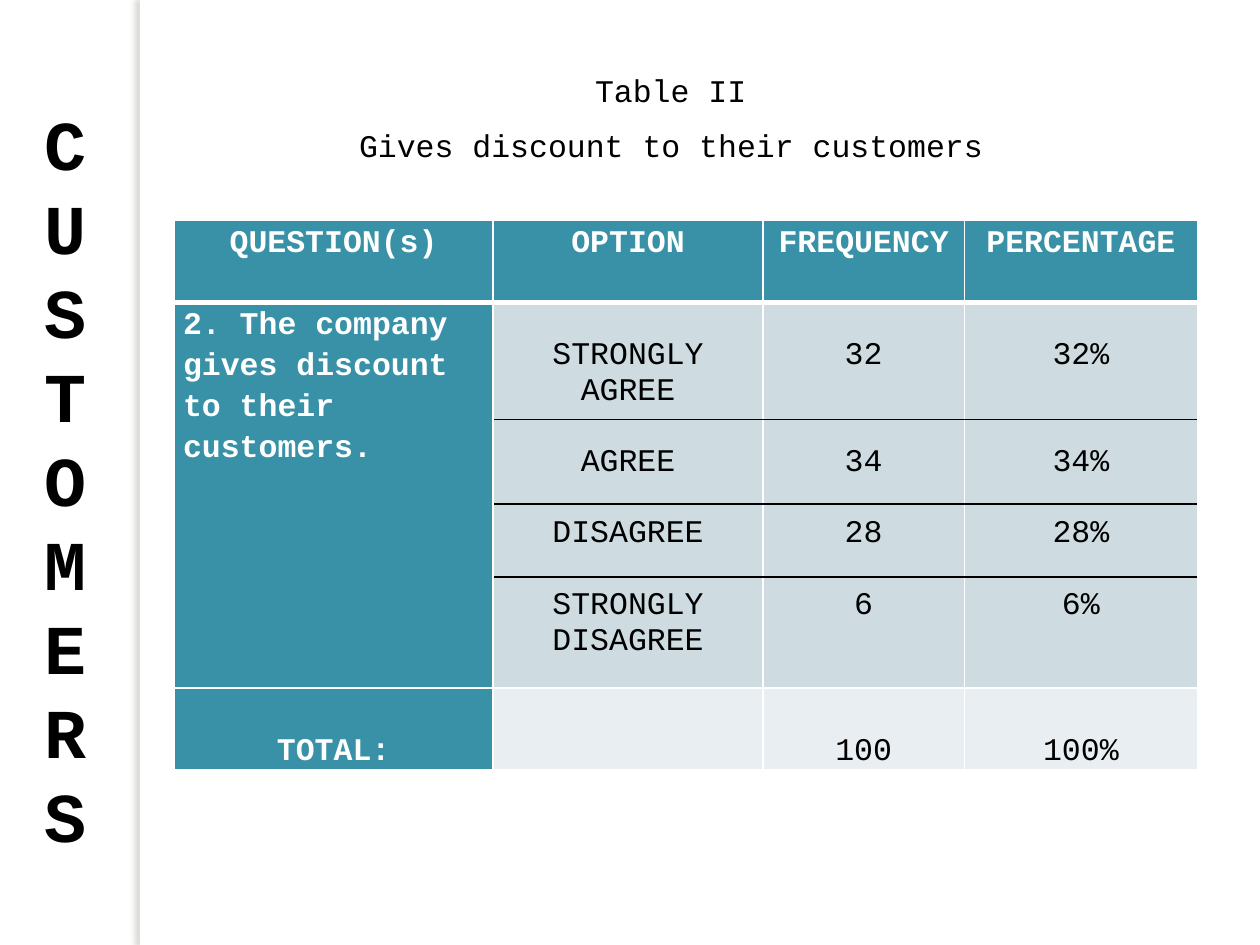
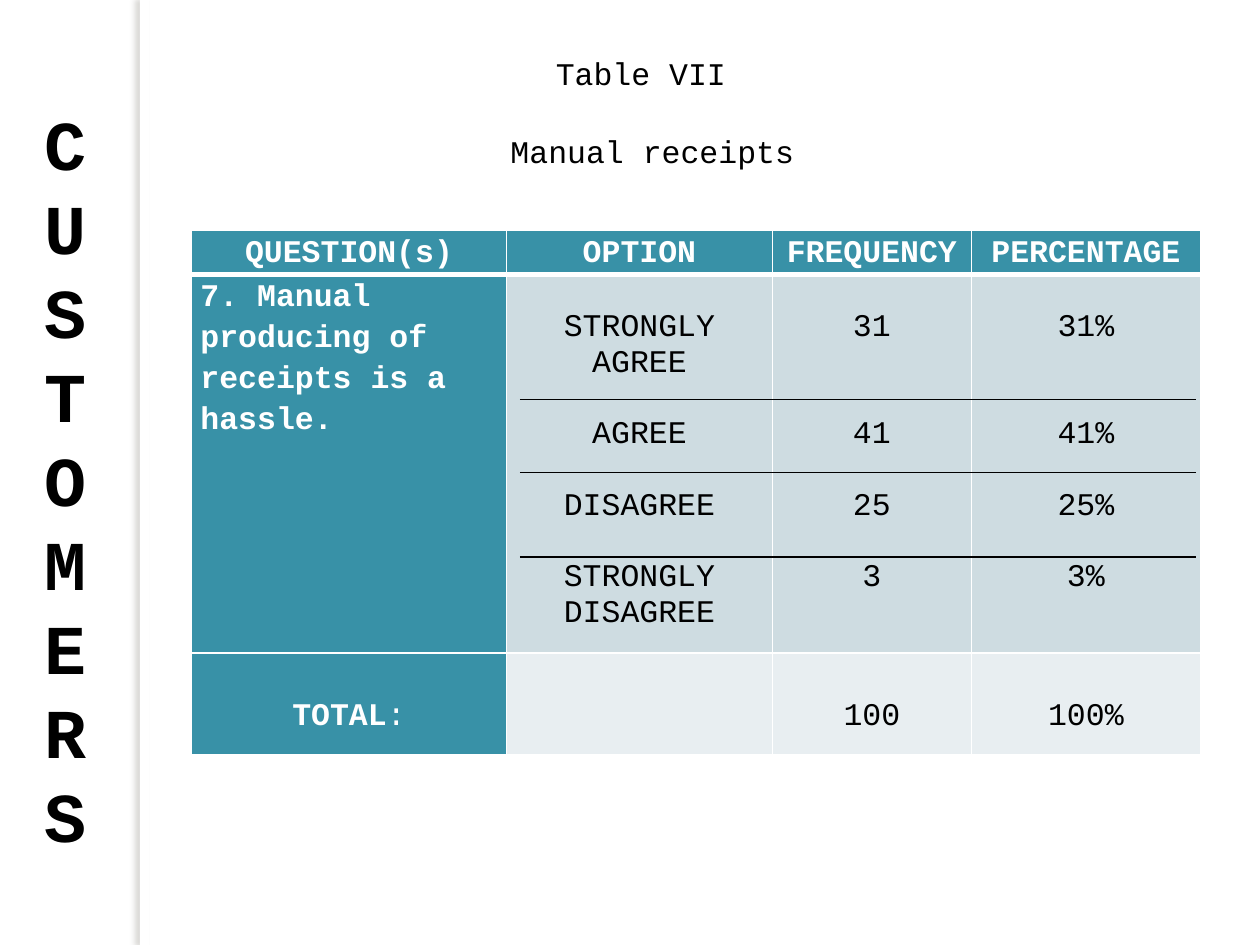
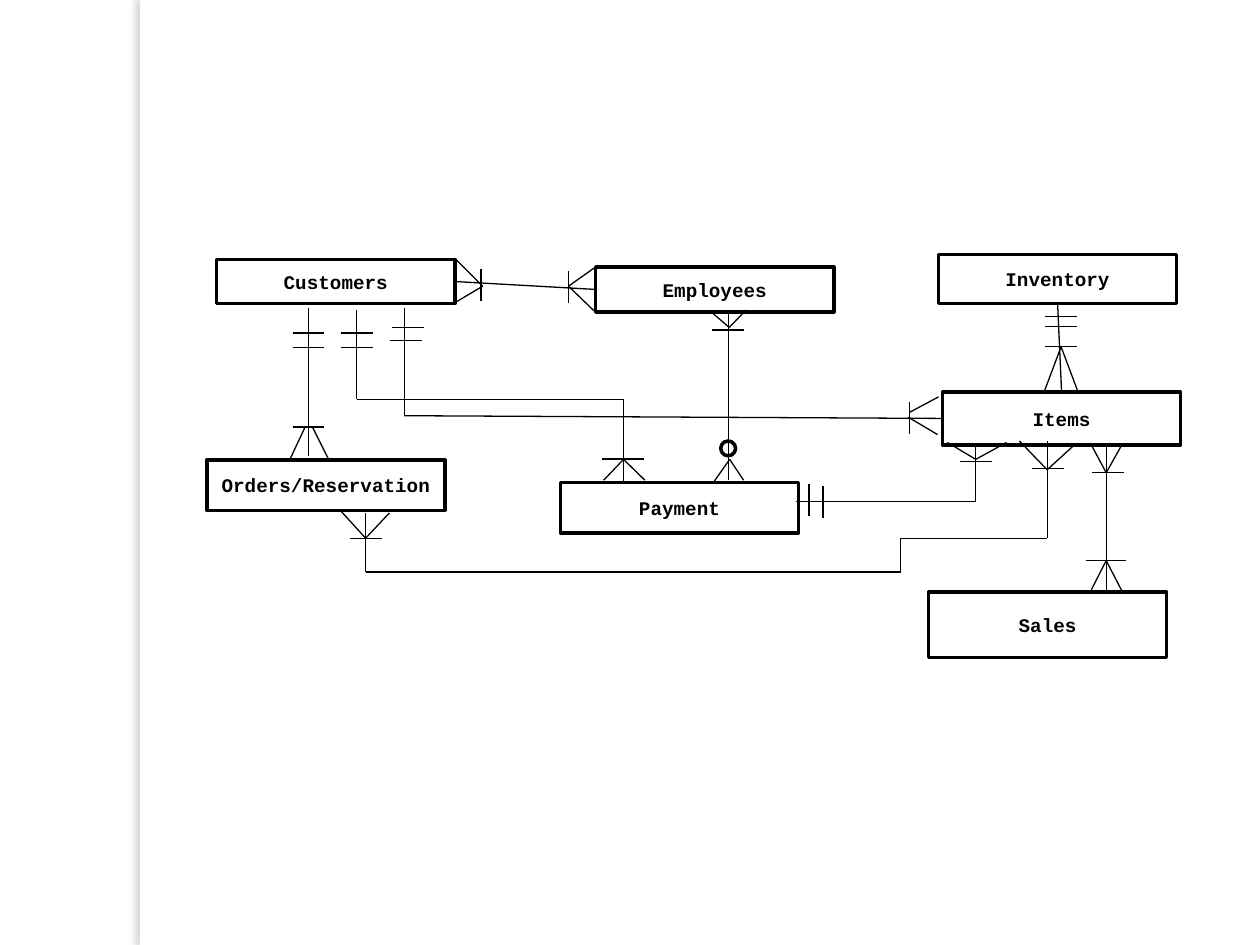
from dataclasses import dataclass
from typing import NamedTuple, Optional

from lxml import etree
from pptx import Presentation, util as u
from pptx.dml.color import RGBColor
from pptx.enum import shapes, text
from pptx.oxml.ns import qn

Cm, Pt = u.Cm, u.Pt
Point = tuple[float, float]
CENTER, LEFT = text.PP_ALIGN.CENTER, text.PP_ALIGN.LEFT
TOP_SIDE, LEFT_SIDE, BOTTOM_SIDE, RIGHT_SIDE = range(4)


@dataclass(frozen=True)
class Theme:
    ink: str = "000000"
    paper: str = "FFFFFF"
    teal: str = "3891A7"
    mist: str = "CEDCE1"
    pale: str = "E8EEF1"
    shade: str = "736F63"
    font: str = "Courier New"
    body: float = 18
    side: float = 40
    label: float = 11
    line: float = 20.4
    loose: float = 1.15
    thin: float = 0.75
    thick: float = 2


THEME = Theme()


class Title(NamedTuple):
    text: str
    left: float
    top: float
    width: float


class Survey(NamedTuple):
    titles: list[Title]
    left: float
    top: float
    cols: list[float]
    rows: list[float]
    question: str
    counts: list[int]
    rules: list[float]
    start: float
    end: float
    light_colon: bool = False


class Box(NamedTuple):
    name: str
    left: float
    top: float
    height: float


class Joint(NamedTuple):
    box: str
    side: int


class Route(NamedTuple):
    points: list[Point]
    begin: Optional[Joint] = None
    end: Optional[Joint] = None


class Tick(NamedTuple):
    x: float
    y: float
    upright: bool = False
    size: float = 0.64


HEADS = ["QUESTION(s)", "OPTION", "FREQUENCY", "PERCENTAGE"]
OPTIONS = ["STRONGLY AGREE", "AGREE", "DISAGREE", "STRONGLY DISAGREE"]

DISCOUNT = Survey(
    [Title("Table II", 10.8, 1.3, 5.44),
     Title("Gives discount to their customers", 6.96, 2.41, 13.13)],
    3.51, 4.45, [6.43, 5.44, 4.06, 4.7], [1.65, 7.77, 1.65],
    "2. The company gives discount to their customers.", [32, 34, 28, 6],
    [8.46, 10.16, 11.63], 9.96, 24.13)

RECEIPTS = Survey(
    [Title("Table VII", 3.18, 0.97, 19.48),
     Title("Manual receipts", 9.9, 2.54, 6.5)],
    3.86, 4.65, [6.35, 5.36, 4.01, 4.62], [0.89, 7.62, 2.06],
    "7. Manual producing of receipts is a hassle.", [31, 41, 25, 3],
    [8.05, 9.53, 11.23], 10.48, 24.1, light_colon=True)

BOX_WIDTH = 4.8
BOXES = [
    Box("Customers", 4.37, 5.23, 0.89),
    Box("Employees", 12.01, 5.38, 0.91),
    Box("Inventory", 18.92, 5.13, 0.99),
    Box("Orders/Reservation", 4.17, 9.27, 1.02),
    Box("Payment", 11.3, 9.73, 1.02),
    Box("Items", 19, 7.9, 1.07),
    Box("Sales", 18.72, 11.94, 1.32),
]

LINKS = [
    Route([(9.17, 5.77), (12.01, 5.77)],
          Joint("Customers", RIGHT_SIDE), Joint("Employees", LEFT_SIDE)),
    Route([(21.39, 6.12), (21.39, 7.9)],
          Joint("Inventory", BOTTOM_SIDE), Joint("Items", TOP_SIDE)),
    Route([(8.15, 6.2), (8.15, 8.38), (19, 8.38)],
          end=Joint("Items", LEFT_SIDE)),
    Route([(7.19, 6.25), (7.19, 8.05), (12.57, 8.05), (12.57, 9.75)]),
    Route([(6.22, 6.2), (6.22, 9.19)]),
    Route([(14.68, 6.25), (14.68, 9.68)]),
    Route([(7.37, 10.34), (7.37, 11.53), (18.16, 11.53), (18.16, 10.85),
           (21.11, 10.85), (21.11, 8.89)]),
    Route([(22.3, 8.94), (22.3, 11.91)]),
    Route([(19.66, 8.99), (19.66, 10.11), (16.05, 10.11)]),
]

FEET = [
    Route([(9.19, 5.23), (9.73, 5.77), (9.14, 6.12)]),
    Route([(12.01, 6.3), (11.46, 5.77), (12.01, 5.38)]),
    Route([(6.15, 8.61), (5.84, 9.27)]),
    Route([(6.3, 8.61), (6.63, 9.27)]),
    Route([(18.34, 8.31), (18.92, 8)]),
    Route([(18.31, 8.41), (18.9, 8.76)]),
    Route([(12.17, 9.68), (12.57, 9.26), (13, 9.68)]),
    Route([(14.4, 9.7), (14.71, 9.26), (14.99, 9.68)]),
    Route([(14.35, 6.3), (14.7, 6.6), (15.04, 6.25)]),
    Route([(7.85, 10.34), (7.37, 10.85), (6.88, 10.31)]),
    Route([(20.55, 8.89), (21.11, 9.47), (21.69, 8.94)]),
    Route([(22.63, 11.94), (22.3, 11.3), (22, 11.89)]),
    Route([(22.63, 8.94), (22.3, 9.53), (22, 8.97)]),
    Route([(20.29, 8.92), (19.67, 9.26), (19.1, 8.92)]),
    Route([(21.06, 7.87), (21.39, 6.99), (21.72, 7.87)]),
]

TICKS = [
    Tick(9.7, 5.75, True), Tick(11.46, 5.78, True),
    Tick(7.2, 6.71), Tick(7.2, 7.01),
    Tick(6.22, 6.71), Tick(6.22, 7.01), Tick(6.22, 8.61),
    Tick(8.22, 6.6), Tick(8.19, 6.86), Tick(18.34, 8.42, True),
    Tick(12.56, 9.25, size=0.84), Tick(14.67, 6.65),
    Tick(7.38, 10.85), Tick(21.12, 9.45),
    Tick(22.3, 11.3, size=0.81), Tick(22.34, 9.53),
    Tick(16.31, 10.08, True), Tick(16.59, 10.12, True), Tick(19.67, 9.3),
    Tick(21.39, 6.38), Tick(21.39, 6.58), Tick(21.39, 6.99),
]


def rgb(code: str) -> RGBColor:
    return RGBColor.from_string(code)


def style(para, size: float, color: str = THEME.ink, bold: bool = False,
          align=CENTER) -> None:
    para.alignment = align
    for run in para.runs:
        font = run.font
        font.name, font.size, font.bold = THEME.font, Pt(size), bold
        font.color.rgb = rgb(color)


def add_text(slide, words: str, left: float, top: float, width: float,
             height: float, size: float, **look) -> None:
    frame = slide.shapes.add_textbox(
        Cm(left), Cm(top), Cm(width), Cm(height)).text_frame
    frame.word_wrap = True
    frame.auto_size = text.MSO_AUTO_SIZE.SHAPE_TO_FIT_TEXT
    frame.text = words
    for para in frame.paragraphs:
        style(para, size, **look)


def add_line(slide, start: Point, end: Point):
    line = slide.shapes.add_connector(
        shapes.MSO_CONNECTOR.STRAIGHT, *(Cm(v) for v in (*start, *end)))
    line.line.color.rgb = rgb(THEME.ink)
    line.line.width = Pt(THEME.thin)
    etree.SubElement(line._element.spPr, qn("a:effectLst"))
    return line


def add_band(slide) -> None:
    """Draw the white strip whose shadow parts the margin from the page."""
    band = slide.shapes.add_shape(
        shapes.MSO_SHAPE.RECTANGLE, Cm(2.82), 0, Cm(0.2), Cm(19.05))
    band.fill.solid()
    band.fill.fore_color.rgb = rgb(THEME.paper)
    band.line.fill.background()
    band.shadow.inherit = False
    glow = etree.SubElement(
        band._element.spPr.find(qn("a:effectLst")), qn("a:outerShdw"),
        blurRad=str(Pt(3)), dist=str(Pt(3)), dir="10800000",
        algn="tl", rotWithShape="0")
    tint = etree.SubElement(glow, qn("a:srgbClr"), val=THEME.shade)
    etree.SubElement(tint, qn("a:alpha"), val="25000")


def new_slide(deck):
    slide = deck.slides.add_slide(deck.slide_layouts[6])
    add_band(slide)
    return slide


def set_edges(cell, base: float) -> None:
    props = cell._tc.get_or_add_tcPr()
    for side, width in zip("LRTB", (1, 1, 1, base)):
        edge = etree.SubElement(props, qn(f"a:ln{side}"), w=str(Pt(width)))
        fill = etree.SubElement(edge, qn("a:solidFill"))
        etree.SubElement(fill, qn("a:srgbClr"), val=THEME.paper)


def fill_cell(cell, words: str, back: str, top: float = 0, base: float = 1,
              spacing: Optional[float] = None, gaps: tuple = (), **look) -> None:
    """Write a cell; gaps are the blank lines before each later paragraph."""
    set_edges(cell, base)
    cell.fill.solid()
    cell.fill.fore_color.rgb = rgb(back)
    cell.margin_left = cell.margin_right = Cm(0.18)
    cell.margin_top, cell.margin_bottom = Pt(top), 0
    cell.text_frame.text = words
    paras = cell.text_frame.paragraphs
    for para in paras:
        style(para, THEME.body, **look)
        if spacing:
            para.line_spacing = spacing
    for para, gap in zip(paras[1:], gaps):
        para.space_before = Pt(gap * THEME.line)


def add_grid(slide, survey: Survey) -> None:
    grid = slide.shapes.add_table(
        len(survey.rows), len(survey.cols), Cm(survey.left), Cm(survey.top),
        Cm(sum(survey.cols)), Cm(sum(survey.rows))).table
    grid.first_row = grid.horz_banding = False
    for col, width in zip(grid.columns, survey.cols):
        col.width = Cm(width)
    for row, height in zip(grid.rows, survey.rows):
        row.height = Cm(height)

    white = dict(back=THEME.teal, color=THEME.paper, bold=True,
                 spacing=THEME.loose)
    for col, head in enumerate(HEADS):
        fill_cell(grid.cell(0, col), head, base=3, **white)

    fill_cell(grid.cell(1, 0), survey.question, align=LEFT, **white)
    shares = [f"{count}%" for count in survey.counts]
    lists = [(OPTIONS, (1, 1, 1)), (map(str, survey.counts), (2, 1, 1)),
             (shares, (2, 1, 1))]
    for col, (items, gaps) in enumerate(lists, 1):
        fill_cell(grid.cell(1, col), "\n".join(items), THEME.mist,
                  top=THEME.line, gaps=gaps)

    drop = THEME.line * THEME.loose
    total = sum(survey.counts)
    first = grid.cell(2, 0)
    fill_cell(first, "TOTAL:", top=drop, **white)
    if survey.light_colon:
        para = first.text_frame.paragraphs[0]
        para.runs[0].text = "TOTAL"
        para.add_run().text = ":"
        style(para, THEME.body, THEME.paper, True)
        para.runs[1].font.bold = False
    for col, words in enumerate(["", str(total), f"{total}%"], 1):
        fill_cell(grid.cell(2, col), words, THEME.pale, top=drop,
                  spacing=THEME.loose)


def add_survey(deck, survey: Survey) -> None:
    slide = new_slide(deck)
    add_grid(slide, survey)
    for y in survey.rules:
        add_line(slide, (survey.start, y), (survey.end, y))
    for title in survey.titles:
        add_text(slide, title.text, title.left, title.top, title.width, 1.02,
                 THEME.body)
    add_text(slide, "\n".join("CUSTOMERS"), 0.64, 1.9, 1.27, 15.65,
             THEME.side, bold=True, align=LEFT)


def add_box(slide, box: Box):
    shape = slide.shapes.add_shape(
        shapes.MSO_SHAPE.RECTANGLE, Cm(box.left), Cm(box.top),
        Cm(BOX_WIDTH), Cm(box.height))
    shape.shadow.inherit = False
    shape.fill.solid()
    shape.fill.fore_color.rgb = rgb(THEME.paper)
    shape.line.color.rgb = rgb(THEME.ink)
    shape.line.width = Pt(THEME.thick)
    frame = shape.text_frame
    frame.text = box.name
    frame.vertical_anchor = text.MSO_ANCHOR.MIDDLE
    style(frame.paragraphs[0], THEME.label, bold=True)
    return shape


def add_route(slide, route: Route, nodes: dict) -> None:
    lines = [add_line(slide, start, end)
             for start, end in zip(route.points, route.points[1:])]
    if route.begin:
        lines[0].begin_connect(nodes[route.begin.box], route.begin.side)
    if route.end:
        lines[-1].end_connect(nodes[route.end.box], route.end.side)


def add_tick(slide, tick: Tick) -> None:
    half = tick.size / 2
    dx, dy = (0, half) if tick.upright else (half, 0)
    add_line(slide, (tick.x - dx, tick.y - dy), (tick.x + dx, tick.y + dy))


def add_ring(slide, left: float, top: float, size: float) -> None:
    ring = slide.shapes.add_shape(
        shapes.MSO_SHAPE.OVAL, Cm(left), Cm(top), Cm(size), Cm(size))
    ring.shadow.inherit = False
    ring.fill.background()
    ring.line.color.rgb = rgb(THEME.ink)
    ring.line.width = Pt(THEME.thick)


def add_diagram(deck) -> None:
    slide = new_slide(deck)
    nodes = {box.name: add_box(slide, box) for box in BOXES}
    for route in LINKS + FEET:
        add_route(slide, route, nodes)
    for tick in TICKS:
        add_tick(slide, tick)
    add_ring(slide, 14.53, 8.89, 0.3)


def main() -> None:
    deck = Presentation()
    deck.slide_width, deck.slide_height = Cm(25.4), Cm(19.05)
    for survey in (DISCOUNT, RECEIPTS):
        add_survey(deck, survey)
    add_diagram(deck)
    deck.save("out.pptx")


if __name__ == "__main__":
    main()
